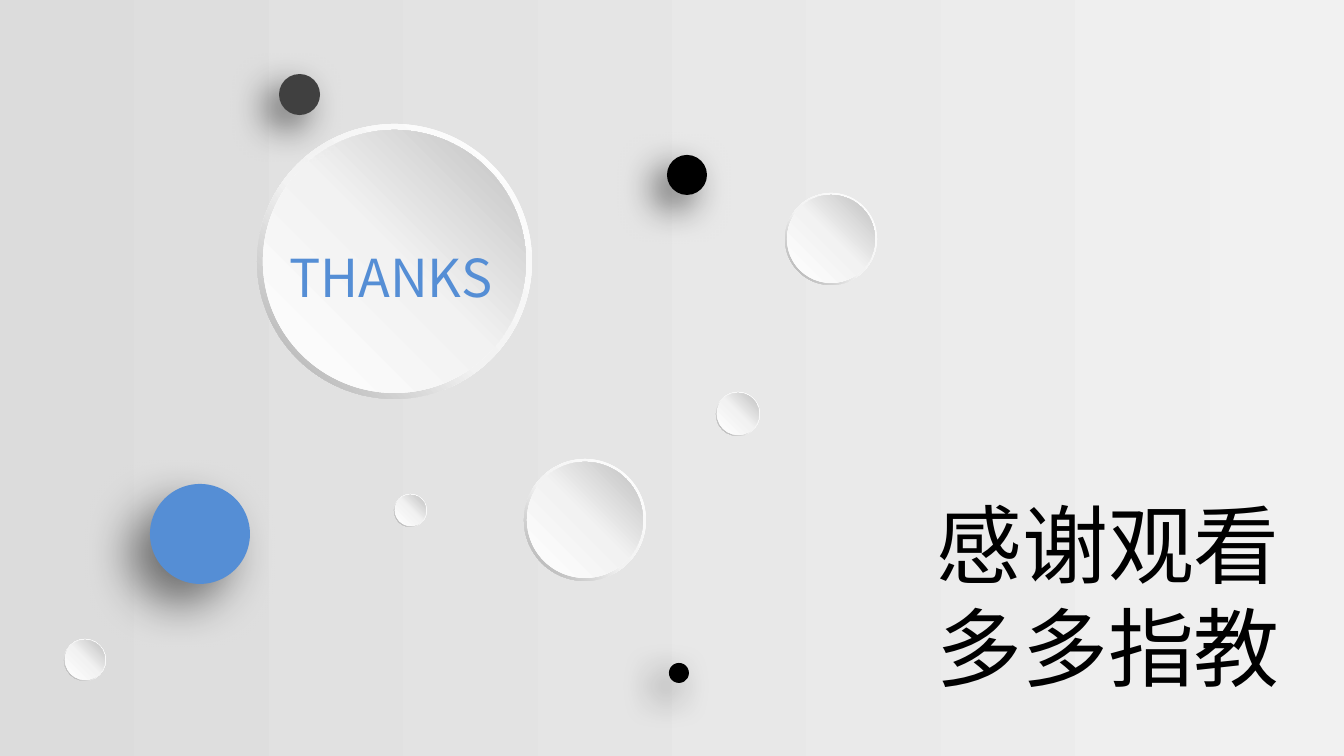
from dataclasses import dataclass
from typing import Any

import pptx
import pptx.dml.color
import pptx.enum.shapes
import pptx.enum.text
import pptx.oxml
import pptx.oxml.ns
import pptx.util
from lxml import etree

SCALE = 914400 / 134.4  # EMU in one px
KIND = pptx.enum.shapes.MSO_SHAPE
qn = pptx.oxml.ns.qn


@dataclass(frozen=True)
class Theme:
    font: str = "Noto Sans CJK SC"
    blue: str = "558ED5"
    gray: str = "404040"
    black: str = "000000"
    back: tuple = ((0, "DCDCDC"), (100, "F1F1F1"))
    rim: tuple = ((0, "FFFFFF"), (55, "F2F2F2"), (100, "A6A6A6"))
    face: tuple = ((0, "FFFFFF"), (51, "F2F2F2"), (100, "BFBFBF"))
    small: int = 28
    large: int = 46


@dataclass(frozen=True)
class Shade:
    alpha: int
    blur: int
    dist: int


@dataclass(frozen=True)
class Disc:
    left: int
    top: int
    size: int


@dataclass(frozen=True)
class Dot:
    left: int
    top: int
    size: int
    color: str
    shade: Shade


THEME = Theme()
DEEP = Shade(50, 25, 15)
SOFT = Shade(60, 20, 10)

DISCS = [
    Disc(257, 124, 275),
    Disc(716, 392, 44),
    Disc(785, 193, 92),
    Disc(394, 494, 33),
    Disc(64, 639, 42),
    Disc(524, 459, 122),
]
DOTS = [
    Dot(150, 484, 100, THEME.blue, DEEP),
    Dot(279, 74, 41, THEME.gray, SOFT),
    Dot(667, 155, 40, THEME.black, SOFT),
    Dot(669, 663, 20, THEME.black, SOFT),
]


def px(count: int) -> int:
    return round(count * SCALE)


def rgb(color: str) -> pptx.dml.color.RGBColor:
    return pptx.dml.color.RGBColor.from_string(color)


def blend(fill: Any, root: Any, stops: tuple, angle: int) -> None:
    """Fill with a linear gradient; the angle runs counter-clockwise."""
    fill.gradient()
    fill.gradient_angle = angle
    items = root.find(".//" + qn("a:gsLst"))
    for item in list(items):
        items.remove(item)
    for pos, color in stops:
        item = etree.SubElement(items, qn("a:gs"), pos=str(pos * 1000))
        etree.SubElement(item, qn("a:srgbClr"), val=color)


def round_shape(shapes: Any, kind: Any, left: int, top: int, size: int) -> Any:
    shape = shapes.add_shape(kind, px(left), px(top), px(size), px(size))
    shape.line.fill.background()
    shape.shadow.inherit = False
    return shape


def draw_disc(slide: Any, disc: Disc) -> None:
    shapes = slide.shapes.add_group_shape().shapes
    rim = round_shape(shapes, KIND.DONUT, disc.left, disc.top, disc.size)
    rim.adjustments[0] = 0.05
    blend(rim.fill, rim._element, THEME.rim, 225)
    gap = round(disc.size * 0.022)
    face = round_shape(shapes, KIND.OVAL, disc.left + gap, disc.top + gap,
                       disc.size - 2 * gap)
    blend(face.fill, face._element, THEME.face, 45)


def draw_dot(slide: Any, dot: Dot) -> None:
    shape = round_shape(slide.shapes, KIND.OVAL, dot.left, dot.top, dot.size)
    shape.fill.solid()
    shape.fill.fore_color.rgb = rgb(dot.color)
    effect = shape._element.spPr.find(qn("a:effectLst"))
    cast = etree.SubElement(
        effect, qn("a:outerShdw"),
        blurRad=str(pptx.util.Pt(dot.shade.blur)),
        dist=str(pptx.util.Pt(dot.shade.dist)),
        dir=str(135 * 60000), algn="tr", rotWithShape="0")
    color = etree.SubElement(cast, qn("a:srgbClr"), val=THEME.black)
    etree.SubElement(color, qn("a:alpha"), val=str(dot.shade.alpha * 1000))


def write(shape: Any, text: str, *, size: int, color: str) -> None:
    frame = shape.text_frame
    frame.text = text
    frame.word_wrap = False
    frame.auto_size = pptx.enum.text.MSO_AUTO_SIZE.SHAPE_TO_FIT_TEXT
    frame.vertical_anchor = pptx.enum.text.MSO_ANCHOR.TOP
    for para in frame.paragraphs:
        para.alignment = pptx.enum.text.PP_ALIGN.LEFT
        for run in para.runs:
            run.font.name = THEME.font
            run.font.size = pptx.util.Pt(size)
            run.font.color.rgb = rgb(color)
            etree.SubElement(run.font._element, qn("a:ea"), typeface=THEME.font)


def main() -> None:
    deck = pptx.Presentation()
    deck.slide_width, deck.slide_height = px(1344), px(756)
    slide = deck.slides.add_slide(deck.slide_layouts[5])

    # Background
    blend(slide.background.fill, slide._element, THEME.back, 0)

    # Raised discs and floating dots
    for disc in DISCS:
        draw_disc(slide, disc)
    for dot in DOTS:
        draw_dot(slide, dot)

    # Word on the large disc
    thanks = slide.shapes.add_textbox(px(276), px(239), px(246), px(77))
    write(thanks, "THANKS", size=THEME.small, color=THEME.blue)

    # Closing title, in front
    title = slide.shapes.title
    title.left, title.top = px(923), px(485)
    title.width, title.height = px(374), px(222)
    write(title, "感谢观看\n多多指教", size=THEME.large, color=THEME.black)
    slide.shapes._spTree.append(title._element)

    deck.save("out.pptx")


if __name__ == "__main__":
    main()
